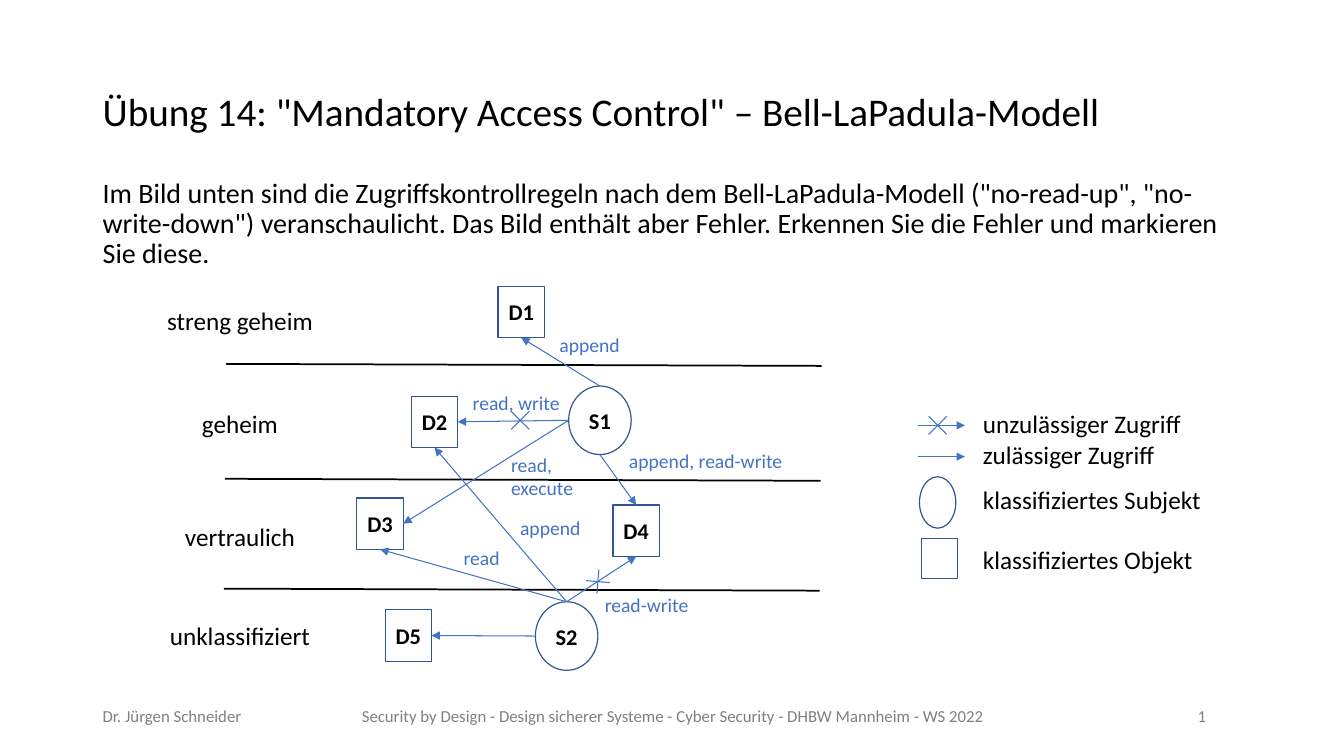
from lxml.etree import SubElement
from pptx import Presentation
from pptx.dml.color import RGBColor
from pptx.enum.shapes import MSO_CONNECTOR, MSO_SHAPE
from pptx.enum.text import MSO_ANCHOR, MSO_AUTO_SIZE, PP_ALIGN
from pptx.oxml.ns import qn
from pptx.util import Inches, Pt

BLACK, GREY, BLUE, NAVY = "000000", "808080", "4472C4", "325491"
TOP, BOTTOM, RIGHT = 0, 2, 3


def color(value):
    """Turn a hex string into a colour."""
    return RGBColor.from_string(value)


def write(tf, text, size=18, fill=BLACK, bold=False, align=PP_ALIGN.LEFT,
          anchor=MSO_ANCHOR.TOP, wrap=True, spacing=None, before=None):
    """Put formatted text into a text frame."""
    tf.word_wrap = wrap
    tf.auto_size = MSO_AUTO_SIZE.NONE if wrap else MSO_AUTO_SIZE.SHAPE_TO_FIT_TEXT
    tf.vertical_anchor = anchor
    p = tf.paragraphs[0]
    p.text = text
    p.alignment = align
    p.line_spacing = spacing
    p.space_before = before
    for r in p.runs:
        r.font.name = "Calibri"
        r.font.size = Pt(size)
        r.font.bold = bold
        r.font.color.rgb = color(fill)


def label(s, text, x, y, w, h=0.4, **style):
    """Add a text box."""
    sp = s.shapes.add_textbox(Inches(x), Inches(y), Inches(w), Inches(h))
    write(sp.text_frame, text, **style)


def node(s, shape, x, y, w, h, text=""):
    """Add an outlined subject or object."""
    sp = s.shapes.add_shape(shape, Inches(x), Inches(y), Inches(w), Inches(h))
    sp.shadow.inherit = False
    sp.fill.background()
    sp.line.color.rgb = color(NAVY)
    sp.line.width = Pt(0.85)
    if text:
        write(sp.text_frame, text, size=16, bold=True,
              align=PP_ALIGN.CENTER, anchor=MSO_ANCHOR.MIDDLE)
    return sp


def line(s, x1, y1, x2, y2, stroke=BLUE, width=0.75, arrow=False):
    """Add a straight line, with an arrowhead at its end if asked."""
    cx = s.shapes.add_connector(MSO_CONNECTOR.STRAIGHT, Inches(x1), Inches(y1),
                                Inches(x2), Inches(y2))
    cx.line.color.rgb = color(stroke)
    cx.line.width = Pt(width)
    if arrow:
        SubElement(cx.line._get_or_add_ln(), qn("a:tailEnd"), type="triangle")
    SubElement(cx._element.spPr, qn("a:effectLst"))
    return cx


def cross(s, x, y, dx, dy):
    """Mark a forbidden access with two perpendicular strokes."""
    line(s, x - dx, y - dy, x + dx, y + dy)
    line(s, x + dy, y - dx, x - dy, y + dx)


def header(s, x, y, w):
    """Add the title and the task."""
    label(s, 'Übung 14: "Mandatory Access Control" – Bell-LaPadula-Modell',
          x, y, w, 1.45, size=28, anchor=MSO_ANCHOR.MIDDLE, spacing=0.9)
    label(s, 'Im Bild unten sind die Zugriffskontrollregeln nach dem '
          'Bell-LaPadula-Modell ("no-read-up", "no-write-down") veranschaulicht. '
          'Das Bild enthält aber Fehler. Erkennen Sie die Fehler und markieren '
          'Sie diese.', x, y + 1.33, w, 1.13, size=20, spacing=0.9, before=Pt(6))


def diagram(s, x, y):
    """Draw the security levels, the nodes and their accesses."""
    for name, dy in (("streng geheim", 0.18), ("geheim", 1.2),
                     ("vertraulich", 2.32), ("unklassifiziert", 3.3)):
        label(s, name, x + 0.05, y + dy, 1.66, align=PP_ALIGN.CENTER, wrap=False)
    for dx, dy in ((0.74, 0.81), (0.73, 1.95), (0.72, 3.04)):
        line(s, x + dx, y + dy, x + dx + 5.91, y + dy + 0.02, BLACK, 1.25)

    objects = {name: node(s, MSO_SHAPE.RECTANGLE, x + dx, y + dy, 0.46, 0.51, name)
               for name, dx, dy in (("D1", 3.44, 0.04), ("D2", 2.58, 1.13),
                                    ("D3", 2.04, 2.14), ("D4", 4.58, 2.21),
                                    ("D5", 2.32, 3.25))}
    w, h = 0.62, 0.68
    starts = {}
    for name, dx, dy in (("S1", 4.14, 1.03), ("S2", 3.81, 3.17)):
        left, top = x + dx, y + dy
        node(s, MSO_SHAPE.OVAL, left, top, w, h, name)
        starts[name] = {"top": (left + w / 2, top), "left": (left, top + h / 2),
                        "bottom": (left + w / 2, top + h)}

    for subject, side, target, site in (
            ("S1", "top", "D1", BOTTOM), ("S1", "left", "D2", RIGHT),
            ("S1", "left", "D3", RIGHT), ("S1", "bottom", "D4", TOP),
            ("S2", "top", "D2", BOTTOM), ("S2", "top", "D3", BOTTOM),
            ("S2", "top", "D4", BOTTOM), ("S2", "left", "D5", RIGHT)):
        start = starts[subject][side]
        cx = line(s, *start, *start, arrow=True)
        cx.end_connect(objects[target], site)

    for text, dx, dy, w in (
            ("append", 3.95, 0.45, 0.81), ("read, write", 3.09, 1.03, 1.07),
            ("append, read-write", 4.64, 1.6, 1.74),
            ("read,\vexecute", 3.47, 1.64, 0.82), ("append", 3.56, 2.27, 0.81),
            ("read", 3.0, 2.57, 0.56), ("read-write", 4.4, 3.03, 1.04)):
        label(s, text, x + dx, y + dy, w, 0.34, size=14, fill=BLUE, wrap=False)
    cross(s, x + 3.66, y + 1.37, 0.09, 0.09)
    cross(s, x + 4.43, y + 2.97, 0.12, 0.01)


def legend(s, x, y):
    """Explain the arrows and the node shapes."""
    for dy in (0.22, 0.53):
        line(s, x, y + dy, x + 0.47, y + dy, arrow=True)
    cross(s, x + 0.2, y + 0.22, 0.09, 0.09)
    node(s, MSO_SHAPE.OVAL, x + 0.02, y + 0.73, 0.36, 0.51)
    node(s, MSO_SHAPE.RECTANGLE, x + 0.04, y + 1.34, 0.36, 0.4)
    for text, dy, w in (("unzulässiger Zugriff", 0, 2.19),
                        ("zulässiger Zugriff", 0.31, 1.92),
                        ("klassifiziertes Subjekt", 0.76, 2.38),
                        ("klassifiziertes Objekt", 1.35, 2.3)):
        label(s, text, x + 0.55, y + dy, w, wrap=False)


def footer(s, x, y):
    """Add the author, the course and the page number."""
    for text, dx, w in (
            ("Dr. Jürgen Schneider", 0, 1.73),
            ("Security by Design - Design sicherer Systeme - Cyber Security - "
             "DHBW Mannheim - WS 2022", 2.57, 7.15),
            ("1", 10.86, 0.64)):
        label(s, text, x + dx, y, w, size=12, fill=GREY)


prs = Presentation()
prs.slide_width, prs.slide_height = Inches(13.33), Inches(7.5)
s = prs.slides.add_slide(prs.slide_layouts[6])
header(s, 0.92, 0.4, 11.5)
diagram(s, 1.5, 2.8)
legend(s, 9.1, 4)
footer(s, 0.92, 6.95)
prs.save("out.pptx")
